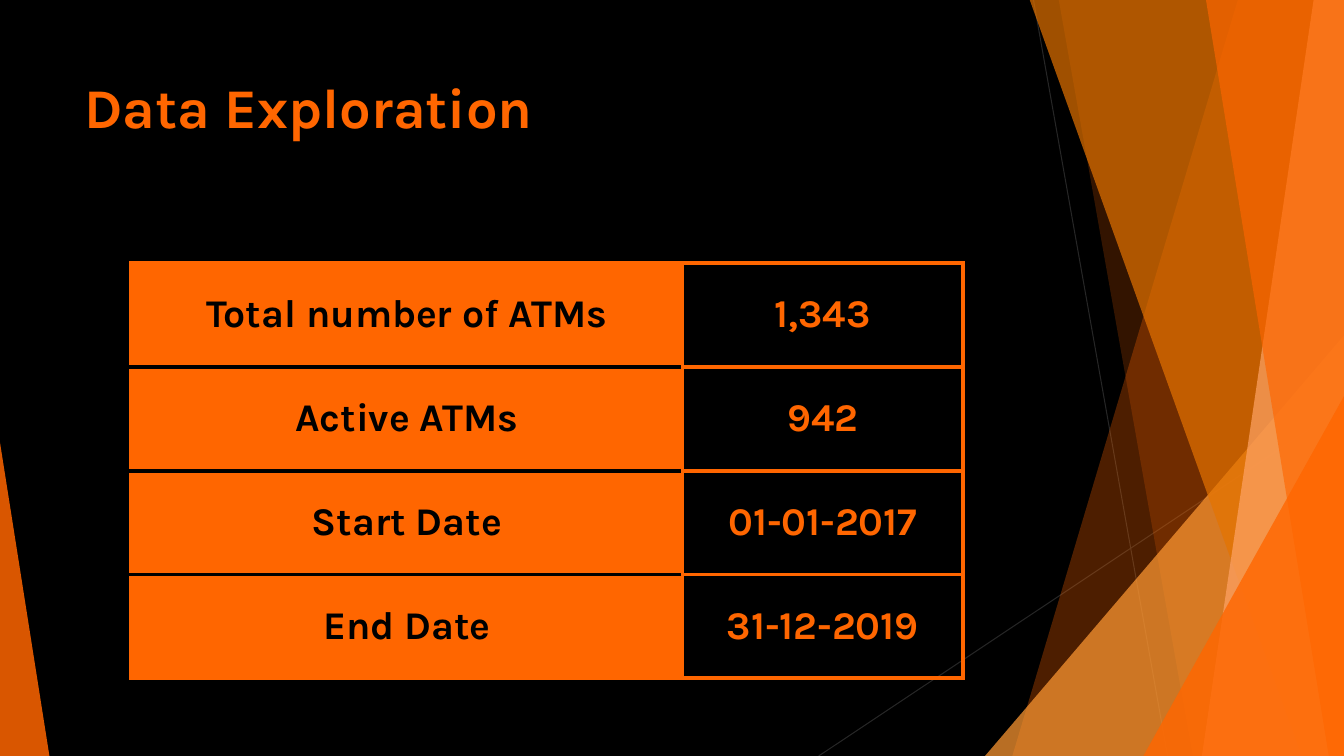
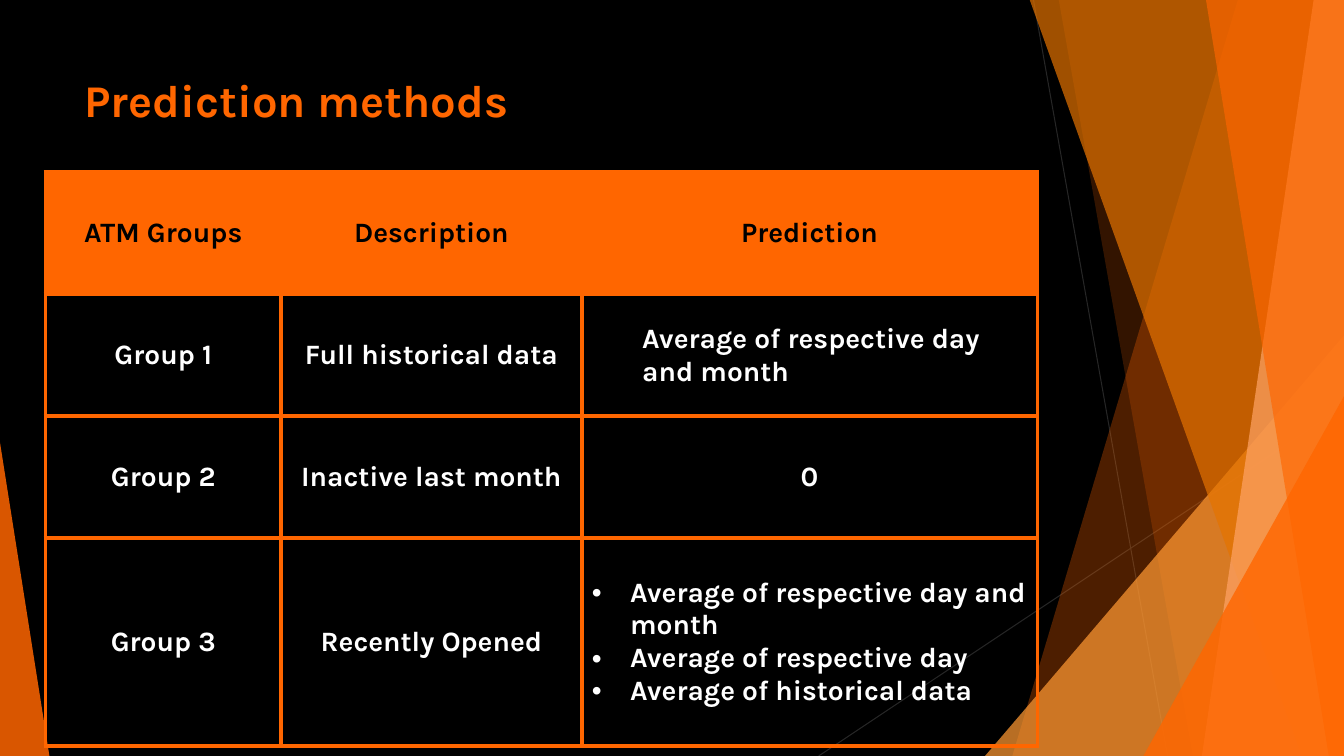
import dataclasses
import lxml.etree
import pptx
import pptx.util
import pptx.dml.color
import pptx.enum.shapes
import pptx.enum.text
import pptx.oxml.ns

Inches = pptx.util.Inches
Pt = pptx.util.Pt
Shape = pptx.enum.shapes.MSO_SHAPE
Align = pptx.enum.text.PP_ALIGN
Anchor = pptx.enum.text.MSO_ANCHOR
qn = pptx.oxml.ns.qn


@dataclasses.dataclass(frozen=True)
class Theme:
    font: str = "Karla"
    back: str = "000000"
    main: str = "FF6600"
    amber: str = "FF9933"
    dark: str = "E57300"
    pale: str = "FFA366"
    text: str = "FFFFFF"
    hair: str = "262626"
    title: float = 40
    small: float = 32.4
    fact: float = 28
    body: float = 20
    rule: float = 3


THEME = Theme()
WIDE, HIGH = 13.33, 7.5
TOP = -0.01

# Slanted bands: top left, bottom left, colour, opacity; all reach the right edge
# Corner triangles: box, apex position, colour, opacity
DECOR = [
    ("band", 12.28, 10.04, THEME.main, 30),
    ("band", 10.5, (11.83), THEME.main, 20),
    ("wedge", (9.77, 3.33, 3.56, 4.17), 1, THEME.amber, 72),
    ("band", 10.21, 12.91, THEME.dark, 70),
    ("band", 13.03, 11.92, THEME.pale, 70),
    ("band", 11.96, 13.18, THEME.main, 65),
    ("wedge", (11.34, 3.93, 1.99, 3.57), 1, THEME.main, 80),
    ("wedge", (0, 4.39, 0.49, 3.11), 0, THEME.main, 85),
]
HAIRS = [(10.25, 0, 11.58, HIGH), (WIDE, 4.03, 8.12, HIGH)]


def color(code):
    return pptx.dml.color.RGBColor.from_string(code)


def add(parent, tag, **attrs):
    return lxml.etree.SubElement(parent, qn(tag), attrs)


def write(frame, text, size=THEME.body, ink=THEME.text, align=Align.LEFT,
          indent=0, bullet=False):
    """Fill a text frame, one paragraph for each line of text."""
    frame.word_wrap = True
    for i, line in enumerate(text.split("\n")):
        para = frame.paragraphs[0] if i == 0 else frame.add_paragraph()
        para.alignment = align
        if indent:
            props = para._p.get_or_add_pPr()
            props.set("marL", str(Inches(indent)))
            props.set("indent", str(-Inches(indent) if bullet else 0))
            if bullet:
                add(props, "a:buFont", typeface="Arial")
                add(props, "a:buChar", char="•")
        run = para.add_run()
        run.text = line
        font = run.font
        font.name, font.size, font.bold = THEME.font, Pt(size), True
        font.color.rgb = color(ink)


def paint(shape, code, alpha):
    shape.shadow.inherit = False
    shape.line.fill.background()
    shape.fill.solid()
    shape.fill.fore_color.rgb = color(code)
    tint = shape.element.spPr.find(".//" + qn("a:srgbClr"))
    add(tint, "a:alpha", val=str(alpha * 1000))


def band(shapes, top, foot):
    pen = shapes.build_freeform(Inches(top), Inches(TOP))
    ends = [(WIDE, TOP), (WIDE, HIGH), (foot, HIGH)]
    pen.add_line_segments([(Inches(x), Inches(y)) for x, y in ends])
    return pen.convert_to_shape()


def wedge(shapes, box, apex):
    shape = shapes.add_shape(Shape.ISOSCELES_TRIANGLE, *map(Inches, box))
    shape.adjustments[0] = apex
    return shape


def decor(slide):
    shapes = slide.shapes.add_group_shape().shapes
    for ends in HAIRS:
        line = shapes.add_connector(
            pptx.enum.shapes.MSO_CONNECTOR.STRAIGHT, *map(Inches, ends))
        line.line.color.rgb = color(THEME.hair)
        line.line.width = Pt(0.75)
        add(line.element.spPr, "a:effectLst")
    draw = {"band": band, "wedge": wedge}
    for kind, first, second, code, alpha in DECOR:
        paint(draw[kind](shapes, first, second), code, alpha)


def page(deck, title, size, high):
    """Add a slide with the shared decoration and title."""
    slide = deck.slides.add_slide(deck.slide_layouts[6])
    decor(slide)
    box = slide.shapes.add_textbox(*map(Inches, (0.74, 0.67, 9.4, high)))
    write(box.text_frame, title, size=size, ink=THEME.main)
    return slide


def edge(cell, top=THEME.main, foot=THEME.main):
    props = cell._tc.get_or_add_tcPr()
    sides = {"L": THEME.main, "R": THEME.main, "T": top, "B": foot}
    for side, code in sides.items():
        line = add(props, "a:ln" + side, w=str(Pt(THEME.rule)))
        add(add(line, "a:solidFill"), "a:srgbClr", val=code)


def style(cell, text, solid=False, top=THEME.main, foot=THEME.main, **form):
    """Give a cell its borders, fill and text."""
    edge(cell, top, foot)
    if solid:
        cell.fill.solid()
        cell.fill.fore_color.rgb = color(THEME.main)
    else:
        cell.fill.background()
    cell.vertical_anchor = Anchor.MIDDLE
    write(cell.text_frame, text, **{"align": Align.CENTER, **form})


def grid(slide, left, top, cols, rows):
    frame = slide.shapes.add_table(
        len(rows), len(cols), Inches(left), Inches(top),
        Inches(sum(cols)), Inches(sum(rows)))
    table = frame.table
    table.first_row = table.horz_banding = False
    for col, wide in zip(table.columns, cols):
        col.width = Inches(wide)
    for row, high in zip(table.rows, rows):
        row.height = Inches(high)
    return table


def facts(slide, left, top):
    data = [("Total number of ATMs", "1,343"), ("Active ATMs", "942"),
            ("Start Date", "01-01-2017"), ("End Date", "31-12-2019")]
    table = grid(slide, left, top, [5.47, 2.78], [1.03] * len(data))
    last = len(data) - 1
    for r, (name, value) in enumerate(data):
        style(table.cell(r, 0), name, solid=True, size=THEME.fact, ink=THEME.back,
              top=THEME.back if r else THEME.main,
              foot=THEME.back if r < last else THEME.main)
        style(table.cell(r, 1), value, size=THEME.fact, ink=THEME.main)


def methods(slide, left, top):
    data = [
        ("ATM Groups", "Description", "Prediction"),
        ("Group 1", "Full historical data", "Average of respective day and month"),
        ("Group 2", "Inactive last month", "0"),
        ("Group 3", "Recently Opened", "Average of respective day and month\n"
         "Average of respective day\nAverage of historical data"),
    ]
    forms = {
        (1, 2): dict(align=Align.LEFT, indent=0.5),
        (3, 2): dict(align=Align.LEFT, indent=0.38, bullet=True),
    }
    head = dict(solid=True, ink=THEME.back)
    table = grid(slide, left, top, [2.34, 2.98, 4.52], [1.21] * 3 + [2.06])
    for r, row in enumerate(data):
        for c, text in enumerate(row):
            form = forms.get((r, c), {}) if r else head
            style(table.cell(r, c), text, **form)


def main():
    deck = pptx.Presentation()
    deck.slide_width, deck.slide_height = Inches(WIDE), Inches(HIGH)
    fill = deck.slide_master.background.fill
    fill.solid()
    fill.fore_color.rgb = color(THEME.back)
    facts(page(deck, "Data Exploration", THEME.title, 1.44), 1.3, 2.61)
    methods(page(deck, "Prediction methods", THEME.small, 0.68), 0.45, 1.71)
    deck.save("out.pptx")


if __name__ == "__main__":
    main()
